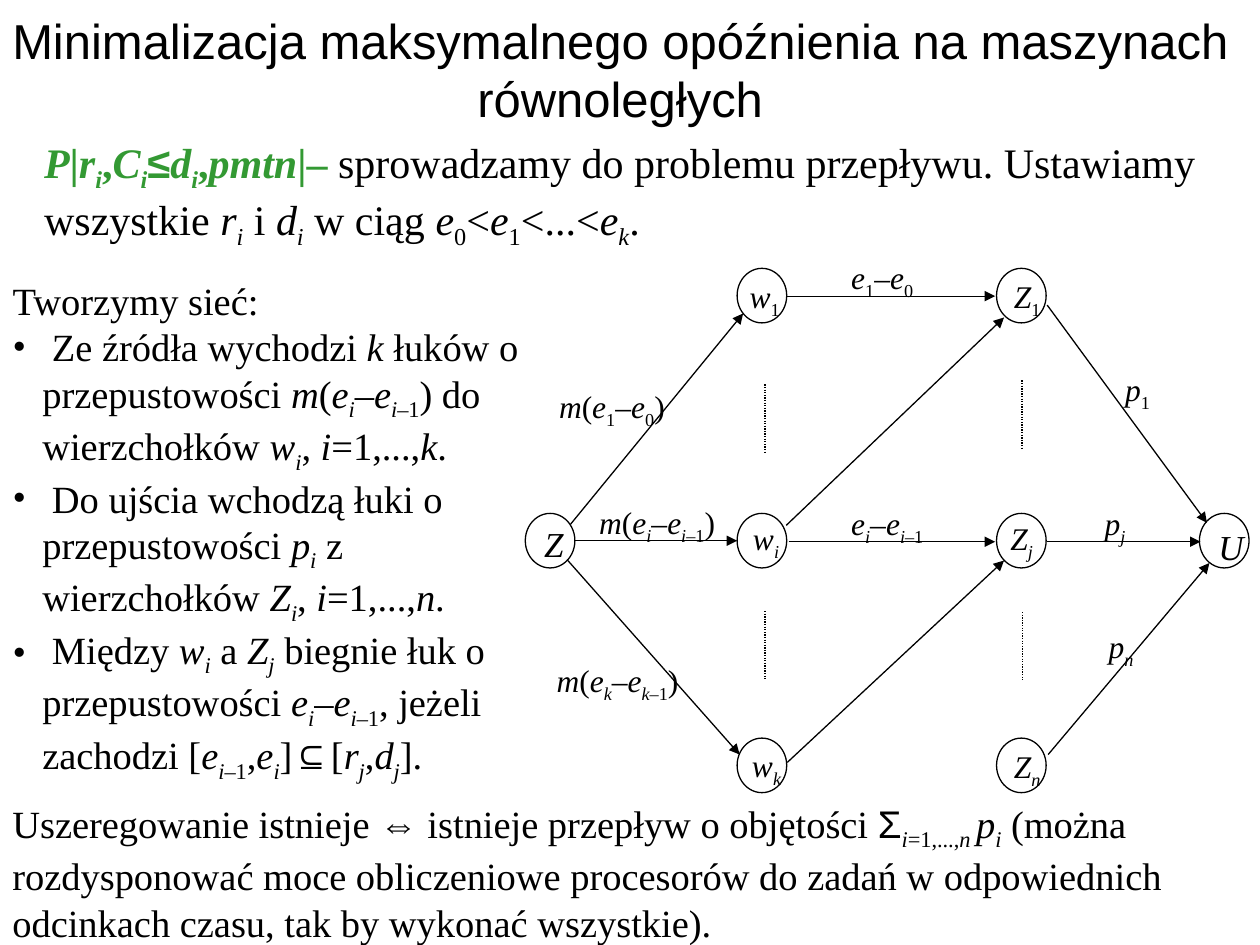
from dataclasses import dataclass

from lxml import etree
from pptx import Presentation
from pptx import util as u
from pptx.dml.color import RGBColor
from pptx.enum import dml, shapes, text
from pptx.oxml import ns


@dataclass(frozen=True)
class Theme:
    """Colours, fonts and type sizes of the slide."""
    ink: RGBColor = RGBColor(0, 0, 0)
    paper: RGBColor = RGBColor(255, 255, 255)
    accent: RGBColor = RGBColor(0x33, 0x99, 0x33)
    serif: str = "Times New Roman"
    sans: str = "Arial"
    title: int = 28
    intro: int = 24
    body: int = 22
    terminal: int = 20
    label: int = 18
    line: float = 0.75


@dataclass(frozen=True)
class Box:
    """A region in centimetres."""
    left: float
    top: float
    width: float
    height: float

    def inner(self, left, top, width, height):
        """Return a box placed relative to this one."""
        return Box(self.left + left, self.top + top, width, height)

    def point(self, x, y):
        """Return a point relative to this box as lengths."""
        return u.Cm(self.left + x), u.Cm(self.top + y)

    def lengths(self):
        """Return the four sides as lengths."""
        return [u.Cm(side) for side in (self.left, self.top, self.width, self.height)]


THEME = Theme()
NODE_WIDTH, NODE_HEIGHT = 1.0, 1.1
SOURCE, INTERVAL, TASK, SINK = 0, 4.27, 9.5, 13.59
TOP, MIDDLE, BOTTOM = 0.33, 5.27, 9.8

TITLE = "Minimalizacja maksymalnego opóźnienia na maszynach równoległych"
INTRO = ("@*P*|*r~i~*,*C~i~*^≤^*d~i~*,*pmtn*|– @sprowadzamy do problemu przepływu. "
         "Ustawiamy wszystkie *r~i~* i *d~i~* w ciąg *e*~0~<*e*~1~<...<*e~k~*.")
LIST_HEADING = "Tworzymy sieć:"
LIST_ITEMS = [
    " Ze źródła wychodzi *k* łuków o przepustowości *m*(*e~i~*–*e~i*–1~) do "
    "wierzchołków *w~i~*, *i*=1,...,*k*.",
    " Do ujścia wchodzą łuki o przepustowości *p~i~* z wierzchołków *Z~i~*, *i*=1,...,*n*.",
    " Między *w~i~* a *Z~j~* biegnie łuk o przepustowości *e~i~*–*e~i*–1~, jeżeli "
    "zachodzi [*e~i*–1~,*e~i~*]^⊆^[*r~j~*,*d~j~*].",
]
CONCLUSION = ("Uszeregowanie istnieje ^⇔^ istnieje przepływ o objętości ^Σ^~*i*=1,...,*n ~p~i~* "
              "(można rozdysponować moce obliczeniowe procesorów do zadań w odpowiednich "
              "odcinkach czasu, tak by wykonać wszystkie).")

NODES = [(SOURCE, MIDDLE), (SINK, MIDDLE)] + [
    (column, row) for column in (INTERVAL, TASK) for row in (TOP, MIDDLE, BOTTOM)]
ARCS = [
    ((0.99, 5.82), (4.27, 5.82)), ((0.91, 5.49), (4.39, 1.24)), ((0.84, 6.2), (4.32, 10.13)),
    ((5.28, 0.89), (9.47, 0.89)), ((5.31, 5.84), (9.47, 5.84)), ((5.26, 5.51), (9.65, 1.32)),
    ((5.28, 10.29), (9.65, 6.22)), ((10.52, 1.07), (13.74, 5.46)),
    ((10.52, 5.84), (13.61, 5.84)), ((10.54, 10.13), (13.79, 6.27)),
]
GAP_LENGTH = 1.37
GAPS = [(4.83, 2.67), (4.83, 7.24), (10.01, 2.59), (10.03, 7.26)]
LABELS = [
    ("*Z*", 0.13, 5.33, 1.09, THEME.terminal), ("*U*", 13.72, 5.38, 1.09, THEME.terminal),
    ("*w*~1~", 4.27, 0.38, 1.24, THEME.label), ("*w~i~*", 4.34, 5.26, 1.24, THEME.label),
    ("*w~k~*", 4.32, 9.83, 1.24, THEME.label), ("*Z*~1~", 9.6, 0.38, 1.47, THEME.label),
    ("*Z~j~*", 9.53, 5.26, 1.47, THEME.label), ("*Z~n~*", 9.6, 9.86, 1.47, THEME.label),
    ("*m*(*e*~1~–*e*~0~)", 0.43, 2.59, 3.78, THEME.label),
    ("*m*(*e~i~*–*e~i*–1~)", 1.24, 4.93, 3.4, THEME.label),
    ("*m*(*e~k~*–*e~k*–1~)", 0.38, 8.13, 3.84, THEME.label),
    ("*p*~1~", 11.84, 2.26, 1.93, THEME.label), ("*p~j~*", 11.43, 4.95, 1.93, THEME.label),
    ("*p~n~*", 11.51, 7.44, 1.93, THEME.label),
    ("*e*~1~–*e*~0~", 6.32, 0, 2.51, THEME.label),
    ("*e~i~*–*e~i*–1~", 6.32, 4.95, 2.51, THEME.label),
]


def write(paragraph, markup, size, font=THEME.serif, align=text.PP_ALIGN.LEFT):
    """Write markup where * toggles italic, ~ subscript, ^ sans and @ accent."""
    paragraph.alignment = align
    paragraph.space_before = u.Pt(0)
    active = dict.fromkeys("*~^@", False)

    def add_run(content):
        """Add one run in the active format."""
        run = paragraph.add_run()
        run.text = content
        run.font.size = u.Pt(size)
        run.font.name = THEME.sans if active["^"] else font
        run.font.italic = active["*"]
        run.font.bold = active["@"]
        run.font.color.rgb = THEME.accent if active["@"] else THEME.ink
        if active["~"]:
            run._r.get_or_add_rPr().set("baseline", "-25000")

    content = ""
    for symbol in markup:
        if symbol in active:
            if content:
                add_run(content)
            content = ""
            active[symbol] = not active[symbol]
        else:
            content += symbol
    if content:
        add_run(content)


def set_bullet(paragraph, symbol=None, indent=0.0):
    """Give a paragraph a hanging bullet, or none."""
    properties = paragraph._p.get_or_add_pPr()
    properties.set("marL", str(u.Cm(indent)))
    properties.set("indent", str(-u.Cm(indent)))
    if symbol:
        etree.SubElement(properties, ns.qn("a:buFont")).set("typeface", THEME.serif)
        etree.SubElement(properties, ns.qn("a:buChar")).set("char", symbol)
    else:
        etree.SubElement(properties, ns.qn("a:buNone"))


def place(shape, box):
    """Move a placeholder to a box and return its text frame."""
    shape.left, shape.top, shape.width, shape.height = box.lengths()
    shape.text_frame.auto_size = text.MSO_AUTO_SIZE.NONE
    shape.text_frame.word_wrap = True
    return shape.text_frame


def add_text(parent, box, markup, size):
    """Add a wrapping text box with one paragraph."""
    frame = parent.add_textbox(*box.lengths()).text_frame
    frame.word_wrap = True
    write(frame.paragraphs[0], markup, size)


def add_title(slide, box):
    """Fill the title placeholder."""
    frame = place(slide.shapes.title, box)
    frame.vertical_anchor = text.MSO_ANCHOR.MIDDLE
    write(frame.paragraphs[0], TITLE, THEME.title, font=THEME.sans, align=text.PP_ALIGN.CENTER)


def add_list(slide, box):
    """Fill the body placeholder with the network's rules."""
    frame = place(slide.placeholders[1], box)
    set_bullet(frame.paragraphs[0])
    write(frame.paragraphs[0], LIST_HEADING, THEME.body)
    for item in LIST_ITEMS:
        paragraph = frame.add_paragraph()
        set_bullet(paragraph, "•", 0.6)
        write(paragraph, item, THEME.body)


def add_line(parent, box, start, end, arrow=True):
    """Draw an arrow, or a dotted line, between two points of the box."""
    connector = parent.add_connector(
        shapes.MSO_CONNECTOR.STRAIGHT, *box.point(*start), *box.point(*end))
    connector.line.color.rgb = THEME.ink
    connector.line.width = u.Pt(THEME.line)
    properties = connector._element.spPr
    if arrow:
        outline = properties.find(ns.qn("a:ln"))
        etree.SubElement(outline, ns.qn("a:tailEnd")).set("type", "triangle")
    else:
        connector.line.dash_style = dml.MSO_LINE.ROUND_DOT
    etree.SubElement(properties, ns.qn("a:effectLst"))


def add_network(slide, box):
    """Draw the flow network with its nodes, arcs and labels."""
    parent = slide.shapes.add_group_shape().shapes
    for left, top in NODES:
        node = parent.add_shape(shapes.MSO_SHAPE.OVAL,
                                *box.inner(left, top, NODE_WIDTH, NODE_HEIGHT).lengths())
        node.shadow.inherit = False
        node.fill.solid()
        node.fill.fore_color.rgb = THEME.paper
        node.line.color.rgb = THEME.ink
        node.line.width = u.Pt(THEME.line)
    for start, end in ARCS:
        add_line(parent, box, start, end)
    for x, y in GAPS:
        add_line(parent, box, (x, y), (x, y + GAP_LENGTH), arrow=False)
    for markup, left, top, width, size in LABELS:
        add_text(parent, box.inner(left, top, width, NODE_HEIGHT), markup, size)


def main():
    """Build and save the slide."""
    presentation = Presentation()
    presentation.slide_width, presentation.slide_height = u.Cm(25.4), u.Cm(19.05)
    slide = presentation.slides.add_slide(presentation.slide_layouts[1])
    add_title(slide, Box(-0.2, -0.2, 25.4, 3.18))
    add_text(slide.shapes, Box(0.64, 2.62, 24.76, 2.57), INTRO, THEME.intro)
    add_network(slide, Box(10.59, 5.08, 14.8, 10.9))
    add_list(slide, Box(0, 5.46, 10.8, 10.46))
    add_text(slide.shapes, Box(0, 16, 25.4, 3.18), CONCLUSION, THEME.body)
    presentation.save("out.pptx")


if __name__ == "__main__":
    main()
